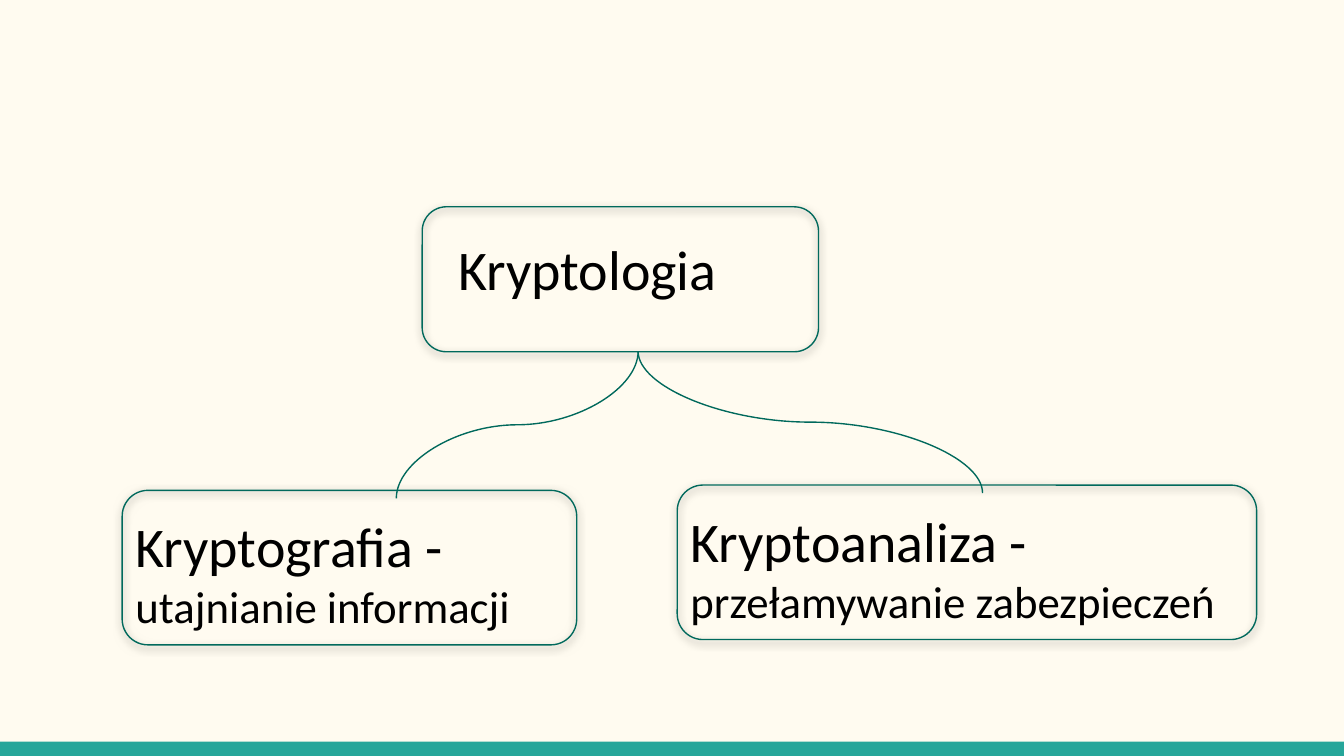
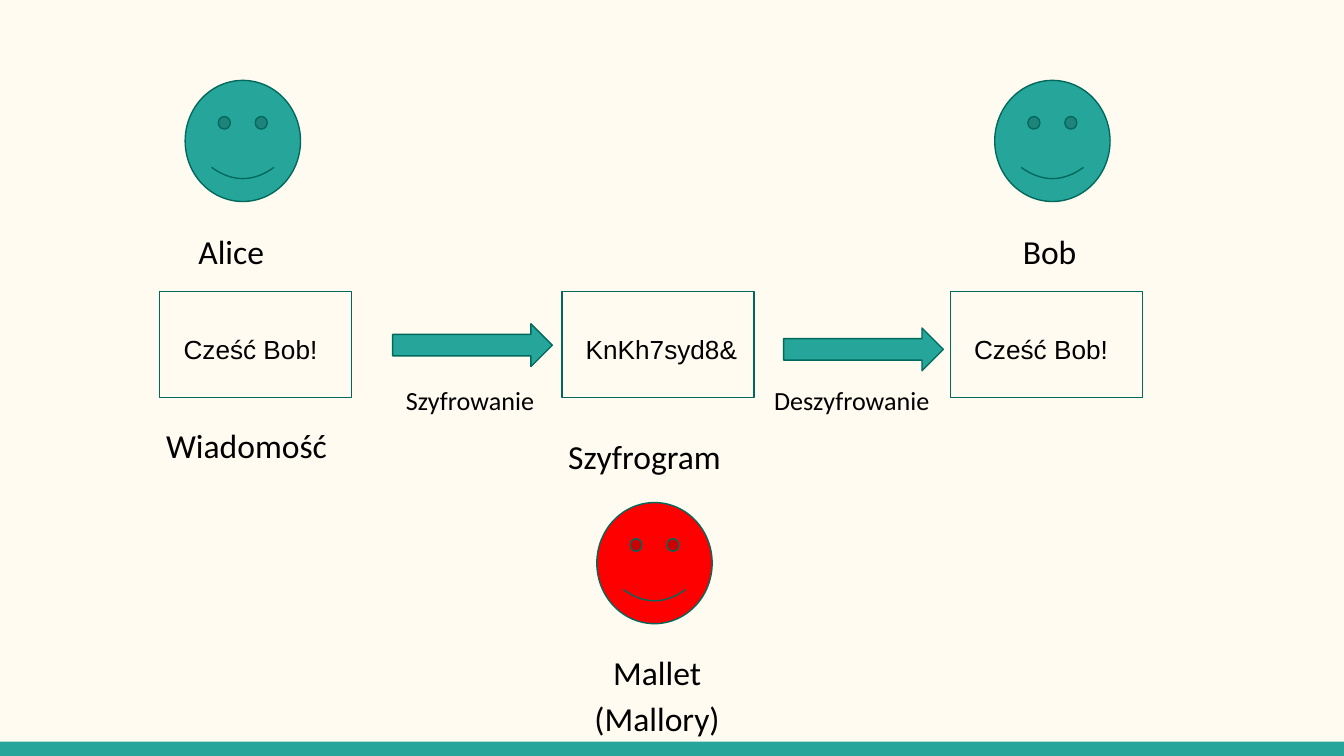
from lxml.etree import SubElement
from pptx import Presentation
from pptx.dml.color import RGBColor
from pptx.enum.shapes import MSO_CONNECTOR, MSO_SHAPE
from pptx.enum.text import PP_ALIGN
from pptx.oxml.ns import qn
from pptx.util import Cm, Pt

WIDTH, HEIGHT = 25.4, 14.29
CREAM, TEAL, DARK_TEAL = "FFFBF0", "26A69A", "00695C"
RED, BLACK = "FF0000", "000000"

FIELDS = [
    {"box": (7.98, 3.91, 7.49, 2.74), "text": (8.41, 4.19, 7.29, 2.46),
     "lines": [("Kryptologia", 30)]},
    {"box": (2.31, 9.27, 8.59, 2.92), "text": (2.31, 9.42, 10.36, 2.46),
     "lines": [("Kryptografia -", 30), ("utajnianie informacji", 24)]},
    {"box": (12.8, 9.17, 10.95, 2.92), "text": (12.8, 9.32, 11.53, 2.46),
     "lines": [("Kryptoanaliza -", 30), ("przełamywanie zabezpieczeń", 24)]},
]
BRANCH_START = (12.06, 6.64)
BRANCH_ENDS = [(7.49, 9.42), (18.57, 9.32)]

PEOPLE = [
    ("Alice", TEAL, (3.5, 1.52), (3.5, 4.01, 2.18, 1.04), PP_ALIGN.LEFT),
    ("Bob", TEAL, (18.8, 1.52), (19.08, 4.01, 1.68, 1.04), PP_ALIGN.LEFT),
    ("Mallet\v(Mallory)", RED, (11.28, 9.5), (10.87, 11.96, 3.1, 2.29), PP_ALIGN.CENTER),
]
MESSAGES = [
    ("Cześć Bob!", 3.02, "Wiadomość", 7.67),
    ("KnKh7syd8&", 10.62, "Szyfrogram", 7.87),
    ("Cześć Bob!", 17.96, None, None),
]
STEPS = [("Szyfrowanie", (7.42, 6.12), 7.42), ("Deszyfrowanie", (14.81, 6.2), 14.38)]
FACE_SIZE = (2.18, 2.29)
MESSAGE_TOP, MESSAGE_SIZE = 5.51, (3.63, 2.01)
ARROW_SIZE = (3.02, 0.81)
LABEL_SIZE = (3.89, 1.17)


def color(value):
    return RGBColor.from_string(value)


def add_form(page, kind, place, fill=None, line=DARK_TEAL):
    form = page.shapes.add_shape(kind, *map(Cm, place))
    form.shadow.inherit = False
    if fill:
        form.fill.solid()
        form.fill.fore_color.rgb = color(fill)
    else:
        form.fill.background()
    if line:
        form.line.color.rgb = color(line)
        form.line.width = Pt(0.75)
    else:
        form.line.fill.background()
    return form


def add_shadow(form):
    effects = form._element.spPr.find(qn("a:effectLst"))
    shadow = SubElement(effects, qn("a:outerShdw"), blurRad=str(Pt(4.5)),
                        dist=str(Pt(1.5)), dir="5400000", algn="bl", rotWithShape="0")
    tone = SubElement(shadow, qn("a:srgbClr"), val=BLACK)
    SubElement(tone, qn("a:alpha"), val="50000")


def add_text(page, place, lines, font="Calibri", align=PP_ALIGN.LEFT, spacing=1.0, after=0):
    frame = page.shapes.add_textbox(*map(Cm, place)).text_frame
    frame.word_wrap = True
    frame.margin_left = frame.margin_right = Cm(0.25)
    frame.margin_top = frame.margin_bottom = Cm(0.25)
    for index, (text, size) in enumerate(lines):
        para = frame.add_paragraph() if index else frame.paragraphs[0]
        para.text = text
        para.alignment = align
        para.line_spacing = spacing
        para.space_after = Pt(after)
        for span in para.runs:
            span.font.name = font
            span.font.size = Pt(size)
            span.font.color.rgb = color(BLACK)


def add_label(page, place, text, size=18, align=PP_ALIGN.LEFT):
    add_text(page, place, [(text, size)], align=align, spacing=1.15, after=16)


def add_branch(page, start, end):
    (x1, y1), (x2, y2) = start, end
    middle_x, middle_y = (x1 + x2) / 2, (y1 + y2) / 2
    turn = 1 if x2 > x1 else -1
    across, down = turn * (y2 - y1) / 2, abs(x2 - x1) / 2
    branch = page.shapes.add_connector(
        MSO_CONNECTOR.CURVE, Cm(middle_x + across), Cm(middle_y - down),
        Cm(middle_x - across), Cm(middle_y + down))
    branch.line.color.rgb = color(DARK_TEAL)
    branch.line.width = Pt(0.75)
    properties = branch._element.spPr
    angle = 270 if turn > 0 else 90
    properties.find(qn("a:xfrm")).set("rot", str(angle * 60000))
    SubElement(properties, qn("a:effectLst"))


def add_page(deck):
    page = deck.slides.add_slide(deck.slide_layouts[6])
    page.background.fill.solid()
    page.background.fill.fore_color.rgb = color(CREAM)
    add_form(page, MSO_SHAPE.RECTANGLE, (0, 14.02, WIDTH, 0.28), fill=TEAL, line=None)
    return page


def build_fields(deck):
    page = add_page(deck)
    for field in FIELDS:
        add_shadow(add_form(page, MSO_SHAPE.ROUNDED_RECTANGLE, field["box"]))
        add_text(page, field["text"], field["lines"])
    for end in BRANCH_ENDS:
        add_branch(page, BRANCH_START, end)


def build_exchange(deck):
    page = add_page(deck)
    for name, fill, corner, label, align in PEOPLE:
        add_form(page, MSO_SHAPE.SMILEY_FACE, corner + FACE_SIZE, fill=fill)
        add_label(page, label, name, align=align)
    for message, left, caption, caption_top in MESSAGES:
        add_form(page, MSO_SHAPE.RECTANGLE, (left, MESSAGE_TOP) + MESSAGE_SIZE)
        add_text(page, (left + 0.2, MESSAGE_TOP + 0.54) + LABEL_SIZE, [(message, 14)], font="Arial")
        if caption:
            add_label(page, (left - 0.13, caption_top) + LABEL_SIZE, caption)
    for step, corner, label_left in STEPS:
        add_form(page, MSO_SHAPE.RIGHT_ARROW, corner + ARROW_SIZE, fill=TEAL)
        add_label(page, (label_left, 6.93) + LABEL_SIZE, step, size=14)


def main():
    deck = Presentation()
    deck.slide_width, deck.slide_height = Cm(WIDTH), Cm(HEIGHT)
    build_fields(deck)
    build_exchange(deck)
    deck.save("out.pptx")


if __name__ == "__main__":
    main()
